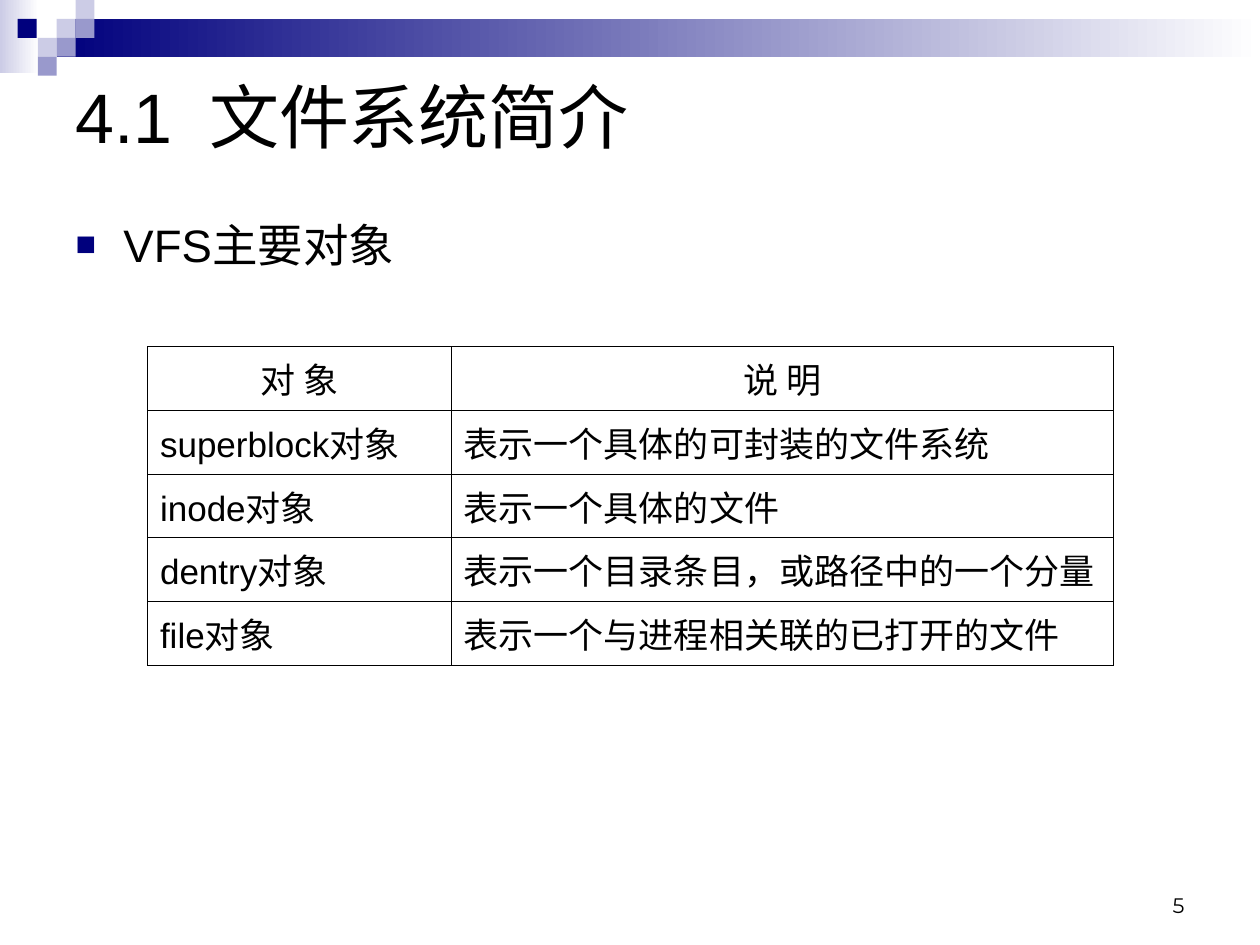
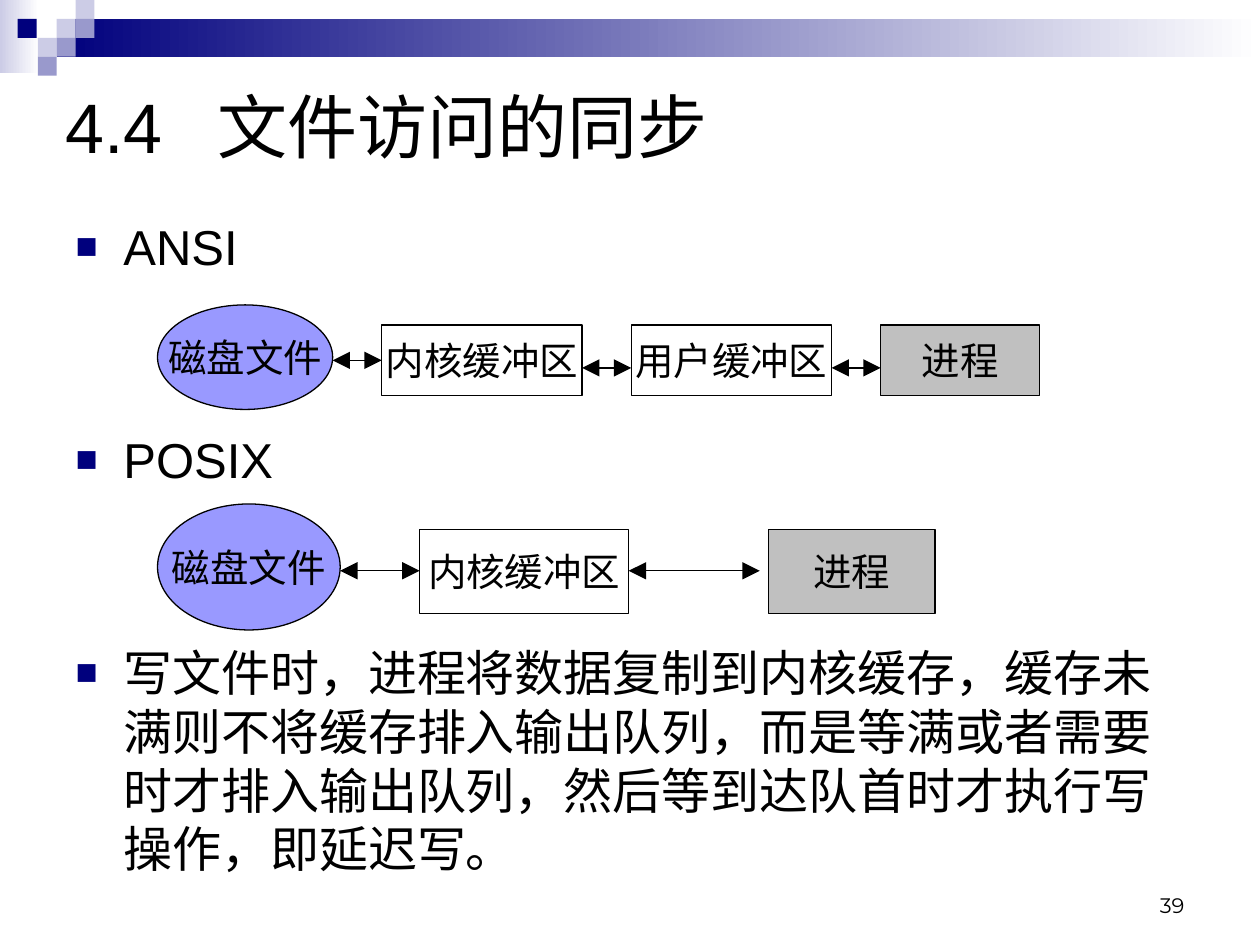
from dataclasses import dataclass

from lxml.etree import SubElement
from pptx import Presentation
from pptx.dml.color import RGBColor
from pptx.enum.shapes import MSO_CONNECTOR, MSO_SHAPE
from pptx.enum.text import MSO_ANCHOR, MSO_AUTO_SIZE, PP_ALIGN
from pptx.oxml.ns import qn
from pptx.util import Inches, Pt

# Shared look
BLACK, WHITE, GREY = "000000", "FFFFFF", "C0C0C0"
NAVY, VIOLET, LILAC, DISK_BLUE = "00007D", "9999CC", "CCCCE6", "9999FF"
BODY_FONT, NUMBER_FONT = "Arial", "Montserrat"
SQUARE = 0.15
NODE_TEXT_SIZE = 22  # five characters fit inside the narrowest buffer box


@dataclass(frozen=True)
class Tile:
    left: float
    top: float
    color: str
    width: float = SQUARE
    height: float = SQUARE
    fades: bool = False


@dataclass(frozen=True)
class Node:
    """A box in a data flow, with the height of the arrow that leads to it."""
    text: str
    left: float
    top: float
    width: float
    height: float
    color: str = WHITE
    kind: MSO_SHAPE = MSO_SHAPE.RECTANGLE
    arrow_y: float = 0
    arrow_gap: float = 0


@dataclass(frozen=True)
class Bullet:
    text: str
    space_before: float = 0


HEADER_TILES = [
    Tile(0, 0, LILAC, 0.31, 0.58, fades=True),
    Tile(0.45, 0.15, NAVY, 9.55, 0.3, fades=True),
    Tile(0.45, 0.15, LILAC),
    Tile(0.6, 0, LILAC),
    Tile(0.6, 0.15, VIOLET),
    Tile(0.3, 0.3, LILAC),
    Tile(0.14, 0.15, NAVY),
    Tile(0.45, 0.3, VIOLET),
    Tile(0.3, 0.45, VIOLET),
]

OBJECT_ROWS = [
    ("对 象", "说 明"),
    ("superblock对象", "表示一个具体的可封装的文件系统"),
    ("inode对象", "表示一个具体的文件"),
    ("dentry对象", "表示一个目录条目，或路径中的一个分量"),
    ("file对象", "表示一个与进程相关联的已打开的文件"),
]

ANSI_FLOW = [
    Node("磁盘文件", 1.25, 2.42, 1.39, 0.83, DISK_BLUE, MSO_SHAPE.OVAL),
    Node("内核缓冲区", 3.03, 2.58, 1.59, 0.56, arrow_y=2.86),
    Node("用户缓冲区", 5.01, 2.58, 1.59, 0.56, arrow_y=2.92),
    Node("进程", 6.99, 2.58, 1.26, 0.56, GREY, arrow_y=2.92),
]

POSIX_FLOW = [
    Node("磁盘文件", 1.25, 4, 1.45, 1, DISK_BLUE, MSO_SHAPE.OVAL),
    Node("内核缓冲区", 3.33, 4.2, 1.66, 0.67, arrow_y=4.53),
    Node("进程", 6.1, 4.2, 1.32, 0.67, GREY, arrow_y=4.53, arrow_gap=0.07),
]

SYNC_BULLETS = [
    Bullet("ANSI"),
    Bullet("POSIX", 88),
    Bullet("写文件时，进程将数据复制到内核缓存，缓存未满则不将缓存排入输出队列，"
           "而是等满或者需要时才排入输出队列，然后等到达队首时才执行写操作，即延迟写。", 88),
]


def rgb(color: str) -> RGBColor:
    return RGBColor.from_string(color)


def write(paragraph, text: str, *, size: float, font: str = BODY_FONT,
          color: str = BLACK, align=PP_ALIGN.LEFT, space_before: float = 0) -> None:
    paragraph.alignment = align
    paragraph.space_before = Pt(space_before)
    run = paragraph.add_run()
    run.text = text
    run.font.size = Pt(size)
    run.font.name = font
    run.font.color.rgb = rgb(color)


def place(shape, left: float, top: float, width: float, height: float) -> None:
    shape.left, shape.top = Inches(left), Inches(top)
    shape.width, shape.height = Inches(width), Inches(height)


def add_plain_shape(slide, kind, left: float, top: float, width: float, height: float):
    shape = slide.shapes.add_shape(
        kind, Inches(left), Inches(top), Inches(width), Inches(height))
    shape.shadow.inherit = False
    return shape


def add_header_to_master(presentation, slide) -> None:
    """Draw the header tiles, then hand them to the master that all slides share."""
    master_tree = presentation.slide_master.shapes.element
    for number, tile in enumerate(HEADER_TILES, start=100):
        shape = add_plain_shape(slide, MSO_SHAPE.RECTANGLE,
                                tile.left, tile.top, tile.width, tile.height)
        shape.line.fill.background()
        if tile.fades:
            shape.fill.gradient()
            shape.fill.gradient_angle = 0
            for stop, color, position in zip(
                    shape.fill.gradient_stops, (tile.color, WHITE), (0, 1)):
                stop.color.rgb = rgb(color)
                stop.position = position
        else:
            shape.fill.solid()
            shape.fill.fore_color.rgb = rgb(tile.color)
        shape.element.nvSpPr.cNvPr.set("id", str(number))
        master_tree.append(shape.element)


def set_title(slide, section: str, heading: str, left: float, top: float,
              heading_stop: float) -> None:
    title = slide.shapes.title
    place(title, left, top, 9, 1.5)
    frame = title.text_frame
    frame.auto_size = MSO_AUTO_SIZE.NONE
    frame.vertical_anchor = MSO_ANCHOR.MIDDLE
    paragraph = frame.paragraphs[0]
    tabs = SubElement(paragraph._p.get_or_add_pPr(), qn("a:tabLst"))
    SubElement(tabs, qn("a:tab"), pos=str(Inches(heading_stop)), algn="l")
    write(paragraph, f"{section}\t{heading}", size=40)


def add_bullet_mark(paragraph) -> None:
    properties = paragraph._p.get_or_add_pPr()
    properties.set("marL", str(Inches(0.38)))
    properties.set("indent", str(-Inches(0.38)))
    mark_color = SubElement(properties, qn("a:buClr"))
    SubElement(mark_color, qn("a:srgbClr"), val=NAVY)
    SubElement(properties, qn("a:buSzPct"), val="75000")
    SubElement(properties, qn("a:buFont"), typeface=BODY_FONT)
    SubElement(properties, qn("a:buChar"), char="■")


def set_bullets(slide, bullets: list[Bullet], size: float, height: float) -> None:
    body = slide.placeholders[1]
    place(body, 0.5, 1.67, 9, height)
    frame = body.text_frame
    frame.auto_size = MSO_AUTO_SIZE.NONE
    for index, bullet in enumerate(bullets):
        paragraph = frame.add_paragraph() if index else frame.paragraphs[0]
        add_bullet_mark(paragraph)
        write(paragraph, bullet.text, size=size, space_before=bullet.space_before)


def add_page_number(slide, number: int) -> None:
    box = slide.shapes.add_textbox(Inches(7.17), Inches(6.83), Inches(2.33), Inches(0.5))
    frame = box.text_frame
    frame.word_wrap = True
    frame.vertical_anchor = MSO_ANCHOR.BOTTOM
    write(frame.paragraphs[0], str(number), size=12, font=NUMBER_FONT, align=PP_ALIGN.RIGHT)


def set_cell_borders(cell) -> None:
    properties = cell._tc.get_or_add_tcPr()
    for index, side in enumerate(("a:lnL", "a:lnR", "a:lnT", "a:lnB")):
        line = properties.makeelement(qn(side), {"w": str(Pt(0.45))})
        fill = SubElement(line, qn("a:solidFill"))
        SubElement(fill, qn("a:srgbClr"), val=BLACK)
        properties.insert(index, line)


def add_object_table(slide) -> None:
    column_widths = (2.41, 5.26)
    table = slide.shapes.add_table(
        len(OBJECT_ROWS), len(column_widths), Inches(1.17), Inches(2.75),
        Inches(sum(column_widths)), Inches(2.53)).table
    table.first_row = table.horz_banding = False
    for column, width in zip(table.columns, column_widths):
        column.width = Inches(width)
    for row_index, texts in enumerate(OBJECT_ROWS):
        for column_index, text in enumerate(texts):
            cell = table.cell(row_index, column_index)
            cell.fill.solid()
            cell.fill.fore_color.rgb = rgb(WHITE)
            cell.vertical_anchor = MSO_ANCHOR.MIDDLE
            set_cell_borders(cell)
            write(cell.text_frame.paragraphs[0], text, size=20,
                  align=PP_ALIGN.LEFT if row_index else PP_ALIGN.CENTER)


def add_node(slide, node: Node) -> None:
    shape = add_plain_shape(slide, node.kind, node.left, node.top, node.width, node.height)
    shape.fill.solid()
    shape.fill.fore_color.rgb = rgb(node.color)
    shape.line.color.rgb = rgb(BLACK)
    shape.line.width = Pt(0.75)
    frame = shape.text_frame
    frame.word_wrap = False
    frame.vertical_anchor = MSO_ANCHOR.MIDDLE
    write(frame.paragraphs[0], node.text, size=NODE_TEXT_SIZE, align=PP_ALIGN.CENTER)


def add_double_arrow(slide, start: float, end: float, y: float) -> None:
    connector = slide.shapes.add_connector(
        MSO_CONNECTOR.STRAIGHT, Inches(start), Inches(y), Inches(end), Inches(y))
    connector.line.color.rgb = rgb(BLACK)
    connector.line.width = Pt(0.75)
    properties = connector.element.spPr
    line = properties.find(qn("a:ln"))
    for arrowhead in ("a:headEnd", "a:tailEnd"):
        SubElement(line, qn(arrowhead), type="triangle", w="lg", len="lg")
    SubElement(properties, qn("a:effectLst"))


def add_flow(slide, nodes: list[Node]) -> None:
    for node in nodes:
        add_node(slide, node)
    for source, target in zip(nodes, nodes[1:]):
        add_double_arrow(slide, source.left + source.width,
                         target.left - target.arrow_gap, target.arrow_y)


def main() -> None:
    presentation = Presentation()
    presentation.slide_width, presentation.slide_height = Inches(10), Inches(7.5)
    layout = presentation.slide_layouts[1]

    # Main VFS objects
    objects_slide = presentation.slides.add_slide(layout)
    add_header_to_master(presentation, objects_slide)
    set_title(objects_slide, "4.1", "文件系统简介", 0.5, 0.17, heading_stop=1.06)
    set_bullets(objects_slide, [Bullet("VFS主要对象")], size=26, height=4.75)
    add_object_table(objects_slide)
    add_page_number(objects_slide, 5)

    # Synchronised file access
    sync_slide = presentation.slides.add_slide(layout)
    set_title(sync_slide, "4.4", "文件访问的同步", 0.42, 0.25, heading_stop=1.21)
    set_bullets(sync_slide, SYNC_BULLETS, size=28, height=5.42)
    add_flow(sync_slide, ANSI_FLOW)
    add_flow(sync_slide, POSIX_FLOW)
    add_page_number(sync_slide, 39)

    presentation.save("out.pptx")


if __name__ == "__main__":
    main()
